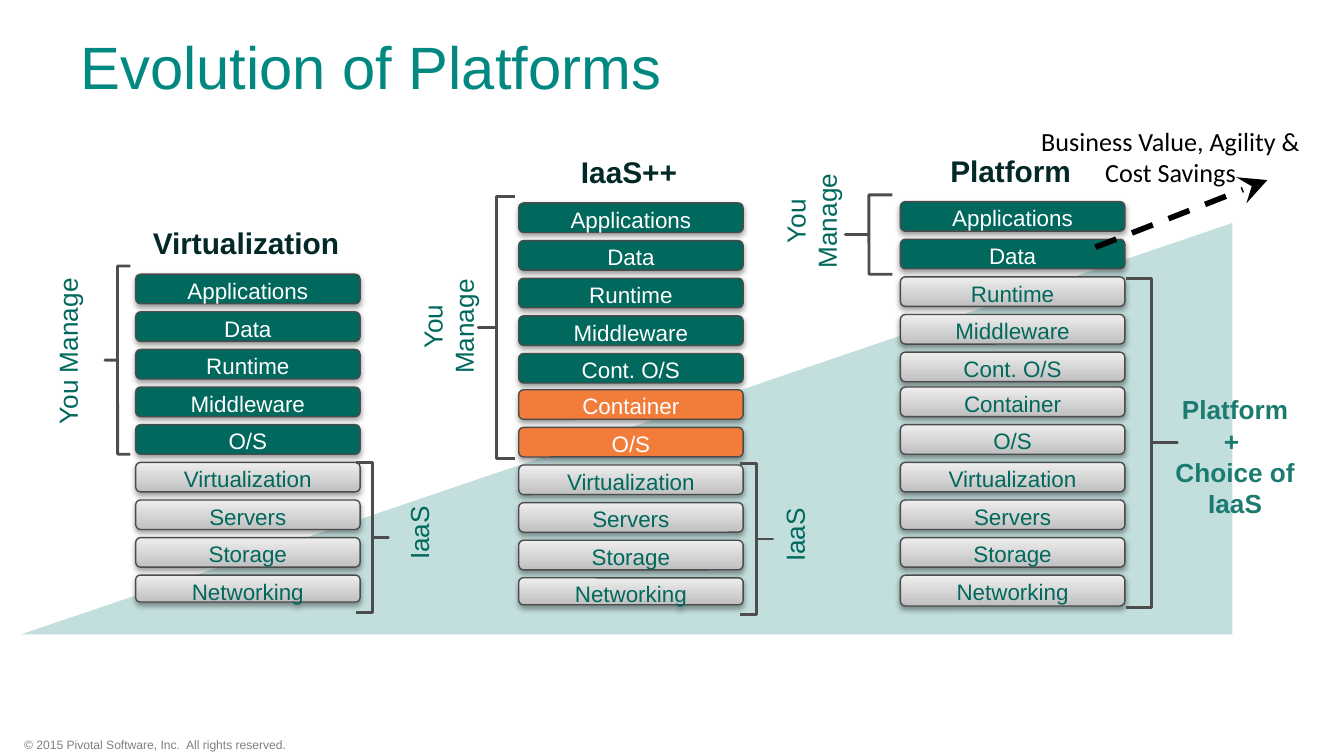
from lxml import etree
from pptx import Presentation
from pptx.dml.color import RGBColor
from pptx.enum.dml import MSO_LINE
from pptx.enum.shapes import MSO_CONNECTOR, MSO_SHAPE
from pptx.enum.text import MSO_ANCHOR, PP_ALIGN
from pptx.oxml.ns import qn
from pptx.util import Pt

PX = 9144  # 100 px to the inch
CENTER, LEFT = PP_ALIGN.CENTER, PP_ALIGN.LEFT
TOP, MIDDLE = MSO_ANCHOR.TOP, MSO_ANCHOR.MIDDLE
ROUNDED, BRACE = MSO_SHAPE.ROUNDED_RECTANGLE, MSO_SHAPE.LEFT_BRACE
TRIANGLE, STRAIGHT, DASH = MSO_SHAPE.RIGHT_TRIANGLE, MSO_CONNECTOR.STRAIGHT, MSO_LINE.DASH

WHITE = RGBColor(0xFF, 0xFF, 0xFF)
BLACK = RGBColor(0, 0, 0)
GREEN = RGBColor(0x00, 0x68, 0x5D)
ORANGE = RGBColor(0xF2, 0x7C, 0x3A)
TITLE_TEAL = RGBColor(0x00, 0x88, 0x81)
WEDGE_TEAL = RGBColor(0x33, 0x92, 0x8A)
CHOICE_TEAL = RGBColor(0x1C, 0x7B, 0x70)
HEADING = RGBColor(0x03, 0x28, 0x28)
GRAY_DARK = RGBColor(0xC0, 0xC0, 0xC0)
GRAY_LIGHT = RGBColor(0xEE, 0xEE, 0xEE)
BAR_LINE = RGBColor(0x4B, 0x4B, 0x4B)
BRACE_LINE = RGBColor(0x4D, 0x4D, 0x4D)
FOOTER_GRAY = RGBColor(0x7F, 0x7F, 0x7F)

PITCH, BAR_W, BAR_H = 28, 167, 22
UPPER_ROWS = 5

prs = Presentation()
prs.slide_width = 1000 * PX
prs.slide_height = prs.slide_width * 9 // 16
s = prs.slides.add_slide(prs.slide_layouts[6])


def add_shape(kind, x, y, w, h, flip=False):
    """Add a preset shape, or a text box when kind is None."""
    box = [v * PX for v in (x, y, w, h)]
    if kind is None:
        return s.shapes.add_textbox(*box)
    sp = s.shapes.add_shape(kind, *box)
    sp.shadow.inherit = False
    if flip:
        sp._element.spPr.xfrm.set("flipH", "1")
    return sp


def write(sp, text, size, color, bold=False, align=CENTER, anchor=TOP,
          font="Arial", insets=(10, 5, 10, 5), spacing=None):
    tf = sp.text_frame
    tf.word_wrap = True
    tf.vertical_anchor = anchor
    tf.margin_left, tf.margin_top, tf.margin_right, tf.margin_bottom = [v * PX for v in insets]
    tf.text = text
    for p in tf.paragraphs:
        p.alignment = align
        p.line_spacing = spacing
        p.font.name, p.font.size, p.font.bold = font, Pt(size), bold
        p.font.color.rgb = color


# Footer, rising wedge and title
write(add_shape(None, 18, 549, 249, 11), "© 2015 Pivotal Software, Inc.  All rights reserved.", 6.5,
      FOOTER_GRAY, align=LEFT, insets=(0, 0, 0, 0))

wedge = add_shape(TRIANGLE, 16, 166, 901, 306, flip=True)
wedge.fill.solid()
wedge.fill.fore_color.rgb = WEDGE_TEAL
wedge.line.fill.background()
wedge_color = wedge._element.spPr.find(".//" + qn("a:srgbClr"))
etree.SubElement(wedge_color, qn("a:alpha"), val="29000")

write(add_shape(None, 50, 2, 900, 94), "Evolution of Platforms", 32, TITLE_TEAL,
      align=LEFT, anchor=MIDDLE)

# Stacks: heading, left, first top, last top, last height, layers by fill
APPS = ["Applications", "Data", "Runtime", "Middleware"]
INFRA = ["Virtualization", "Servers", "Storage", "Networking"]
STACKS = [
    ("Virtualization", 101, 204, 428, 20,
     [(GREEN, APPS + ["O/S"]), (None, INFRA)]),
    ("IaaS++", 386, 151, 430, 20,
     [(GREEN, APPS + ["Cont. O/S"]), (ORANGE, ["Container", "O/S"]), (None, INFRA)]),
    ("Platform", 670, 150, 428, 23,
     [(GREEN, APPS[:2]), (None, APPS[2:] + ["Cont. O/S", "Container", "O/S"] + INFRA)]),
]
for heading, x, top, last_top, last_h, groups in STACKS:
    frame = add_shape(ROUNDED, x - 57, top - 57, 257, 307)
    frame.fill.background()
    frame.line.fill.background()
    write(frame, heading, 16, HEADING, bold=True, insets=(31, 8, 10, 5))

    layers = [(color, name) for color, names in groups for name in names]
    last = len(layers) - 1
    for i, (color, name) in enumerate(layers):
        y = top + PITCH * i if i < UPPER_ROWS else last_top - PITCH * (last - i)
        bar = add_shape(ROUNDED, x, y, BAR_W, last_h if i == last else BAR_H)
        if color is None:
            bar.fill.gradient()
            bar.fill.gradient_angle = 90
            for stop, gray in zip(bar.fill.gradient_stops, (GRAY_DARK, GRAY_LIGHT)):
                stop.color.rgb = gray
        else:
            bar.fill.solid()
            bar.fill.fore_color.rgb = color
        bar.line.color.rgb = BAR_LINE
        bar.line.width = Pt(0.75)
        effects = bar._element.spPr.find(qn("a:effectLst"))
        shadow = etree.SubElement(effects, qn("a:outerShdw"), blurRad=str(Pt(3.1)),
                                  dist=str(Pt(1.6)), dir="5400000", rotWithShape="0")
        shadow_color = etree.SubElement(shadow, qn("a:srgbClr"), val="000000")
        etree.SubElement(shadow_color, qn("a:alpha"), val="38000")
        write(bar, name, 12, GREEN if color is None else WHITE, spacing=0.8)

# Brackets: left, top, width, height, opens to the left
for x, y, w, h, flip in [
    (78, 198, 19, 140, False), (265, 344, 24, 112, True),
    (356, 146, 27, 195, False), (551, 345, 24, 112, True),
    (629, 145, 35, 59, False), (838, 207, 38, 245, True),
]:
    brace = add_shape(BRACE, x, y, w, h, flip)
    brace.adjustments[0], brace.adjustments[1] = 0, 0.5
    brace.fill.background()
    brace.line.color.rgb = BRACE_LINE
    brace.line.width = Pt(1.5)

# Sideways bracket labels
for text, x, y, w, h in [
    ("You Manage", -21, 246, 140, 31), ("IaaS", 277, 381, 67, 31),
    ("You Manage", 267, 221, 120, 44), ("IaaS", 563, 376, 67, 44),
    ("You Manage", 559, 131, 99, 67),
]:
    label = add_shape(None, x, y, w, h)
    label.rotation = 270
    write(label, text, 14, GREEN)

write(add_shape(None, 858, 288, 122, 114), "Platform\n+ \nChoice of IaaS", 14,
      CHOICE_TEAL, bold=True)

# Value arrow and its caption
arrow = s.shapes.add_connector(STRAIGHT, 815 * PX, 184 * PX, 943 * PX, 134 * PX)
arrow.line.color.rgb = BLACK
arrow.line.width = Pt(3)
arrow.line.dash_style = DASH
etree.SubElement(arrow._element.spPr.find(qn("a:ln")), qn("a:tailEnd"),
                 type="stealth", w="lg", len="lg")
etree.SubElement(arrow._element.spPr, qn("a:effectLst"))
write(add_shape(None, 761, 91, 220, 51), "Business Value, Agility & Cost Savings", 14, BLACK,
      font="Calibri", insets=(4, 2, 4, 2))

prs.save("out.pptx")
